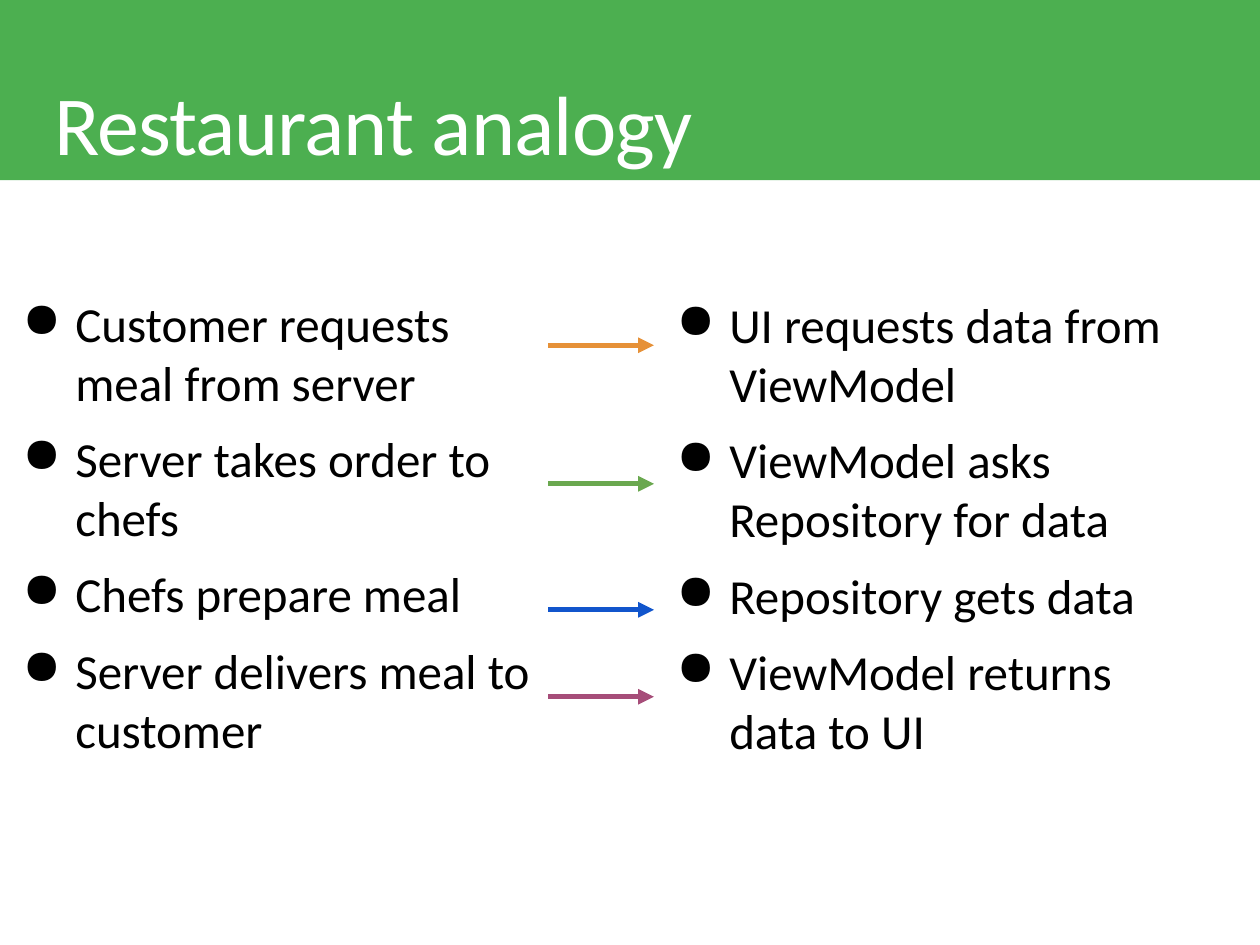
from lxml.etree import SubElement
from pptx import Presentation
from pptx.dml.color import RGBColor
from pptx.enum.shapes import MSO_CONNECTOR, MSO_SHAPE
from pptx.enum.text import MSO_ANCHOR, MSO_AUTO_SIZE, PP_ALIGN
from pptx.oxml.ns import qn
from pptx.util import Inches, Pt

GREEN = RGBColor(0x4C, 0xAF, 0x50)
WHITE = RGBColor(0xFF, 0xFF, 0xFF)
BLACK = RGBColor(0x00, 0x00, 0x00)
FONT = "Calibri"

# Content
TITLE = "Restaurant analogy"
COLUMNS = [  # left, top, steps
    (0, 2.23, ["Customer requests meal from server",
               "Server takes order to chefs",
               "Chefs prepare meal",
               "Server delivers meal to customer"]),
    (5.19, 2.24, ["UI requests data from ViewModel",
                  "ViewModel asks Repository for data",
                  "Repository gets data",
                  "ViewModel returns data to UI"]),
]
ARROWS = [  # height on the slide, colour
    (2.74, RGBColor(0xE6, 0x91, 0x38)),
    (3.84, RGBColor(0x6A, 0xA8, 0x4F)),
    (4.84, RGBColor(0x11, 0x55, 0xCC)),
    (5.53, RGBColor(0xA6, 0x4D, 0x79)),
]
COLUMN_WIDTH, COLUMN_HEIGHT = 4.47, 3.74
ARROW_START, ARROW_END = 4.35, 5.19


def prepare_frame(frame):
    frame.word_wrap = True
    frame.auto_size = MSO_AUTO_SIZE.NONE
    frame.vertical_anchor = MSO_ANCHOR.TOP
    frame.margin_left = frame.margin_right = Inches(0.1)
    frame.margin_top = frame.margin_bottom = Inches(0.1)


def add_text(paragraph, text, size, color):
    paragraph.alignment = PP_ALIGN.LEFT
    run = paragraph.add_run()
    run.text = text
    run.font.name = FONT
    run.font.size = Pt(size)
    run.font.color.rgb = color
    return run


def set_bullet(paragraph):
    properties = paragraph._p.get_or_add_pPr()
    properties.set("marL", str(Inches(0.5)))
    properties.set("indent", str(Inches(-0.42)))
    color = SubElement(properties, qn("a:buClr"))
    SubElement(color, qn("a:srgbClr"), val=str(BLACK))
    SubElement(properties, qn("a:buChar"), char="●")


def add_column(slide, left, top, steps):
    box = slide.shapes.add_textbox(Inches(left), Inches(top),
                                   Inches(COLUMN_WIDTH), Inches(COLUMN_HEIGHT))
    frame = box.text_frame
    prepare_frame(frame)
    for index, step in enumerate(steps):
        paragraph = frame.add_paragraph() if index else frame.paragraphs[0]
        set_bullet(paragraph)
        paragraph.space_before = Pt(10 if index else 0)
        add_text(paragraph, step, 28, BLACK)


def add_arrow(slide, height, color):
    arrow = slide.shapes.add_connector(
        MSO_CONNECTOR.STRAIGHT, Inches(ARROW_START), Inches(height),
        Inches(ARROW_END), Inches(height))
    arrow.line.color.rgb = color
    arrow.line.width = Pt(3)
    SubElement(arrow.line._get_or_add_ln(), qn("a:tailEnd"), type="triangle")
    SubElement(arrow._element.spPr, qn("a:effectLst"))


def main():
    presentation = Presentation()
    presentation.slide_width = Inches(10)
    presentation.slide_height = Inches(7.5)
    slide = presentation.slides.add_slide(presentation.slide_layouts[5])

    # Header band, behind the title
    band = slide.shapes.add_shape(MSO_SHAPE.RECTANGLE, Inches(-0.01), Inches(-0.06),
                                  Inches(10.01), Inches(1.49))
    band.shadow.inherit = False
    band.fill.solid()
    band.fill.fore_color.rgb = GREEN
    band.line.fill.background()
    title = slide.shapes.title
    title._element.addprevious(band._element)

    # Title
    title.left, title.top = Inches(0.33), Inches(0.59)
    title.width, title.height = Inches(9.32), Inches(0.63)
    prepare_frame(title.text_frame)
    paragraph = title.text_frame.paragraphs[0]
    paragraph.line_spacing = 0.85
    run = add_text(paragraph, TITLE, 48, WHITE)
    run.font._element.set("spc", "-50")

    # Matching steps and the arrows between them
    for left, top, steps in COLUMNS:
        add_column(slide, left, top, steps)
    for height, color in ARROWS:
        add_arrow(slide, height, color)

    presentation.save("out.pptx")


if __name__ == "__main__":
    main()
